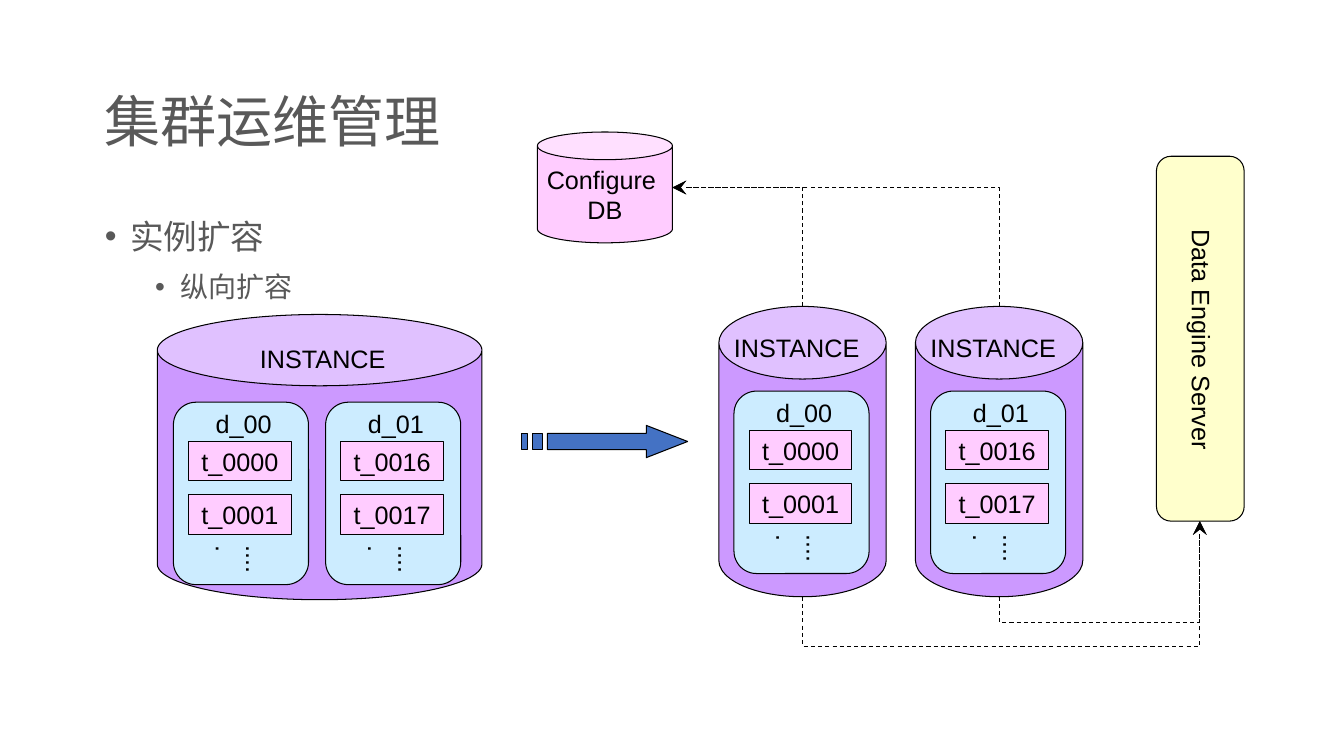
from dataclasses import dataclass

from lxml import etree
from pptx import Presentation
from pptx.dml.color import RGBColor
from pptx.enum.dml import MSO_LINE
from pptx.enum.shapes import MSO_CONNECTOR, MSO_SHAPE
from pptx.enum.text import MSO_ANCHOR, MSO_AUTO_SIZE, PP_ALIGN
from pptx.oxml.ns import qn
from pptx.util import Pt

PX = 9144
BLACK = RGBColor(0x00, 0x00, 0x00)
GRAY = RGBColor(0x59, 0x59, 0x59)
PURPLE = RGBColor(0xCC, 0x99, 0xFF)
SKY = RGBColor(0xCC, 0xEC, 0xFF)
PINK = RGBColor(0xFF, 0xCC, 0xFF)
CREAM = RGBColor(0xFF, 0xFF, 0xCC)
BLUE = RGBColor(0x44, 0x72, 0xC4)
CAN = MSO_SHAPE.CAN
ROUNDED = MSO_SHAPE.ROUNDED_RECTANGLE
RECTANGLE = MSO_SHAPE.RECTANGLE
ELBOW = MSO_CONNECTOR.ELBOW
DASH = MSO_LINE.DASH
LINE_WIDTH = Pt(0.75)
TABLE_STEP = 53
QUARTER_TURN = "5400000"

CENTERED = {"word_wrap": False, "vertical_anchor": MSO_ANCHOR.MIDDLE}
LABEL = {"word_wrap": True, "auto_size": MSO_AUTO_SIZE.SHAPE_TO_FIT_TEXT}
HEADING_INSETS = {
    "word_wrap": True,
    "margin_left": 12 * PX,
    "margin_right": 12 * PX,
    "margin_top": 6 * PX,
    "margin_bottom": 6 * PX,
}


@dataclass(frozen=True)
class Box:
    left: int
    top: int
    width: int
    height: int

    def emu(self) -> tuple[int, int, int, int]:
        return self.left * PX, self.top * PX, self.width * PX, self.height * PX


@dataclass(frozen=True)
class Database:
    left: int
    top: int
    name: str
    tables: tuple[str, ...]


@dataclass(frozen=True)
class Instance:
    can: Box
    rim: float
    label_left: int
    label_top: int
    databases: tuple[Database, ...]


@dataclass(frozen=True)
class Link:
    start: tuple[int, int]
    end: tuple[int, int]
    preset: str
    flips: tuple[str, ...]
    bend: int | None = None


@dataclass(frozen=True)
class Bullet:
    text: str
    size: int
    indent: int
    space_before: int


FIRST_TABLES = ("t_0000", "t_0001")
SECOND_TABLES = ("t_0016", "t_0017")
INSTANCES = (
    Instance(Box(156, 312, 322, 283), 0.25, 248, 336, (
        Database(172, 399, "d_00", FIRST_TABLES),
        Database(323, 399, "d_01", SECOND_TABLES),
    )),
    Instance(Box(713, 304, 166, 288), 0.434, 718, 325, (
        Database(728, 388, "d_00", FIRST_TABLES),
    )),
    Instance(Box(908, 304, 166, 288), 0.434, 913, 325, (
        Database(923, 388, "d_01", SECOND_TABLES),
    )),
)
LINKS = (
    Link((991, 592), (1190, 517), "bentConnector3", ("flipH", "flipV"), -34300),
    Link((796, 592), (1190, 517), "bentConnector3", ("flipH", "flipV"), -65400),
    Link((991, 304), (667, 186), "bentConnector2", ("flipH",)),
    Link((796, 304), (667, 186), "bentConnector2", ("flipH",)),
)
BULLETS = (Bullet("实例扩容", 24, 25, 0), Bullet("纵向扩容", 20, 75, 5))
ARROW_PARTS = (
    ((641, 422), (641, 430), (543, 430), (543, 446), (641, 446), (641, 454), (682, 438)),
    ((528, 430), (528, 446), (538, 446), (538, 430)),
    ((517, 430), (517, 446), (523, 446), (523, 430)),
)


def apply(target, values: dict) -> None:
    for name, value in values.items():
        setattr(target, name, value)


def style_font(paragraph, size: int = 18, color: RGBColor = BLACK) -> None:
    apply(paragraph.font, {"size": Pt(size), "name": "Arial"})
    paragraph.font.color.rgb = color


def style_shape(shape, fill: RGBColor) -> None:
    shape.shadow.inherit = False
    shape.fill.solid()
    shape.fill.fore_color.rgb = fill
    shape.line.color.rgb = BLACK
    shape.line.width = LINE_WIDTH


def add_shape(slide, kind, box: Box, fill: RGBColor, lines: tuple[str, ...] = (), rim: float | None = None) -> None:
    shape = slide.shapes.add_shape(kind, *box.emu())
    style_shape(shape, fill)
    if rim is not None:
        shape.adjustments[0] = rim
    if lines:
        apply(shape.text_frame, CENTERED)
        shape.text_frame.text = "\n".join(lines)
        for paragraph in shape.text_frame.paragraphs:
            paragraph.alignment = PP_ALIGN.CENTER
            style_font(paragraph)


def add_label(slide, box: Box, text: str, vertical: bool = False) -> None:
    frame = slide.shapes.add_textbox(*box.emu()).text_frame
    apply(frame, LABEL)
    if vertical:
        frame._txBody.find(qn("a:bodyPr")).set("vert", "eaVert")
    frame.text = text
    style_font(frame.paragraphs[0])


def add_headings(slide) -> None:
    frame = slide.shapes.add_textbox(*Box(92, 40, 1150, 145).emu()).text_frame
    apply(frame, HEADING_INSETS | {"vertical_anchor": MSO_ANCHOR.MIDDLE})
    frame.text = "集群运维管理"
    frame.paragraphs[0].line_spacing = 1.2
    style_font(frame.paragraphs[0], 40, GRAY)

    frame = slide.shapes.add_textbox(*Box(92, 200, 1150, 476).emu()).text_frame
    apply(frame, HEADING_INSETS)
    frame.text = "\n".join(bullet.text for bullet in BULLETS)
    for level, (paragraph, bullet) in enumerate(zip(frame.paragraphs, BULLETS)):
        apply(paragraph, {"level": level, "line_spacing": 1.2, "space_before": Pt(bullet.space_before)})
        properties = paragraph._p.get_or_add_pPr()
        properties.set("marL", str(bullet.indent * PX))
        properties.set("indent", str(-25 * PX))
        etree.SubElement(properties, qn("a:buFont"), typeface="Arial")
        etree.SubElement(properties, qn("a:buChar"), char="•")
        style_font(paragraph, bullet.size, GRAY)


def add_database(slide, database: Database) -> None:
    left, top = database.left, database.top
    add_shape(slide, ROUNDED, Box(left, top, 134, 181), SKY)
    for row, table in enumerate(database.tables):
        add_shape(slide, RECTANGLE, Box(left + 15, top + 39 + row * TABLE_STEP, 102, 39), PINK, (table,))
    add_label(slide, Box(left + 52, top + 132, 50, 48), ".....", vertical=True)
    add_label(slide, Box(left + 32, top + 1, 79, 40), database.name)


def add_instance(slide, instance: Instance) -> None:
    add_shape(slide, CAN, instance.can, PURPLE, rim=instance.rim)
    for database in instance.databases:
        add_database(slide, database)
    add_label(slide, Box(instance.label_left, instance.label_top, 152, 40), "INSTANCE")


def add_link(slide, link: Link) -> None:
    (start_x, start_y), (end_x, end_y) = link.start, link.end
    width, height = abs(end_y - start_y) * PX, abs(end_x - start_x) * PX
    left = ((start_x + end_x) * PX - width) // 2
    top = ((start_y + end_y) * PX - height) // 2
    connector = slide.shapes.add_connector(ELBOW, left, top, left + width, top + height)
    connector.line.color.rgb = BLACK
    apply(connector.line, {"width": LINE_WIDTH, "dash_style": DASH})
    properties = connector._element.spPr
    frame = properties.find(qn("a:xfrm"))
    frame.set("rot", QUARTER_TURN)
    for flip in link.flips:
        frame.set(flip, "1")
    geometry = properties.find(qn("a:prstGeom"))
    geometry.set("prst", link.preset)
    if link.bend is not None:
        guides = geometry.find(qn("a:avLst"))
        etree.SubElement(guides, qn("a:gd"), name="adj1", fmla=f"val {link.bend}")
    etree.SubElement(properties.find(qn("a:ln")), qn("a:tailEnd"), type="stealth", w="lg", len="lg")
    etree.SubElement(properties, qn("a:effectLst"))


def add_arrow(slide) -> None:
    builder = slide.shapes.build_freeform(*ARROW_PARTS[0][0], scale=PX)
    for index, part in enumerate(ARROW_PARTS):
        if index:
            builder.move_to(*part[0])
        builder.add_line_segments(part[1:], close=True)
    style_shape(builder.convert_to_shape(), BLUE)


def main() -> None:
    presentation = Presentation()
    apply(presentation, {"slide_width": 1333 * PX, "slide_height": 750 * PX})
    slide = presentation.slides.add_slide(presentation.slide_layouts[6])
    add_headings(slide)
    for instance in INSTANCES:
        add_instance(slide, instance)
    add_arrow(slide)
    add_shape(slide, ROUNDED, Box(1147, 155, 87, 362), CREAM)
    add_label(slide, Box(1162, 218, 50, 242), "Data Engine Server", vertical=True)
    add_shape(slide, CAN, Box(533, 131, 134, 110), PINK, ("Configure ", "DB"), rim=0.25)
    for link in LINKS:
        add_link(slide, link)
    presentation.save("out.pptx")


if __name__ == "__main__":
    main()
